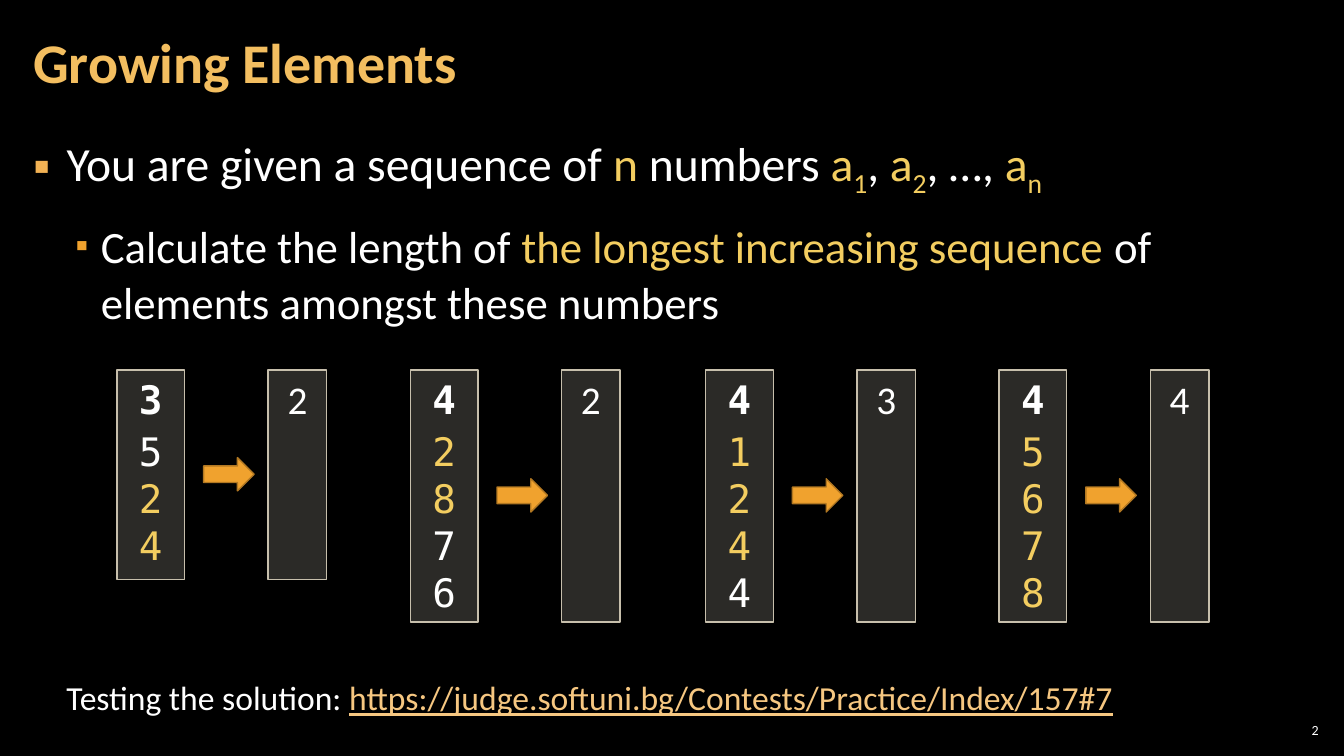
import lxml.etree
import pptx
import pptx.dml.color
import pptx.enum.shapes
import pptx.enum.text
import pptx.oxml.ns
import pptx.util

PX = 9144
COLOURS = {
    "black": "000000", "white": "FFFFFF", "yellow": "F3CD60",
    "title": "F3BE60", "bullet": "F2B254", "orange": "F0A22E",
    "brown": "B27822", "panel": "D9D5C7", "border": "C7BFAC",
    "link": "F6C781",
}
SANS = "Calibri"
MONO = "DejaVu Sans Mono"
ALIGN = pptx.enum.text.PP_ALIGN
ANCHOR = pptx.enum.text.MSO_ANCHOR
SHAPES = pptx.enum.shapes.MSO_SHAPE


def apply(target, values):
    for name, value in values.items():
        setattr(target, name, value)


def rgb(colour):
    return pptx.dml.color.RGBColor.from_string(COLOURS[colour])


def child(parent, tag, **attributes):
    return lxml.etree.SubElement(parent, pptx.oxml.ns.qn(tag), attributes)


class SlideBuilder:
    def __init__(self, deck):
        self.page = deck.slides.add_slide(deck.slide_layouts[5])
        background = self.page.background.fill
        background.solid()
        background.fore_color.rgb = rgb("black")

    def place(self, box, left, top, width, height):
        apply(box, {"left": left * PX, "top": top * PX,
                    "width": width * PX, "height": height * PX})

    def frame(self, box, side=10, edge=5, anchor=ANCHOR.TOP):
        apply(box.text_frame, {
            "word_wrap": True, "vertical_anchor": anchor,
            "auto_size": pptx.enum.text.MSO_AUTO_SIZE.NONE,
            "margin_left": side * PX, "margin_right": side * PX,
            "margin_top": edge * PX, "margin_bottom": edge * PX})
        return box

    def paragraph(self, box, spans, size, face=SANS, bullet=None, **layout):
        frame = box.text_frame
        para = frame.paragraphs[0]
        if para.runs:
            para = frame.add_paragraph()
        if bullet:
            self.bullet(para, **bullet)
        apply(para, layout)
        for text, colour, *extra in spans:
            span = para.add_run()
            span.text = text
            formats = {"size": pptx.util.Pt(size), "name": face, "bold": False}
            apply(span.font, formats | (extra[0] if extra else {}))
            span.font.color.rgb = rgb(colour)
        return para

    def bullet(self, para, indent, hanging, colour, percent):
        properties = para._p.get_or_add_pPr()
        properties.set("marL", str(indent * PX))
        properties.set("indent", str(-hanging * PX))
        child(child(properties, "a:buClr"), "a:srgbClr", val=COLOURS[colour])
        child(properties, "a:buSzPct", val=str(percent * 1000))
        child(properties, "a:buFont", typeface=SANS)
        child(properties, "a:buChar", char="▪")

    def subscript(self, para, *positions):
        for position in positions:
            para.runs[position]._r.get_or_add_rPr().set("baseline", "-25000")

    def title(self, text, *area):
        box = self.page.shapes.title
        self.place(box, *area)
        self.frame(box, 12, 4, ANCHOR.MIDDLE)
        self.paragraph(box, [(text, "title", {"bold": True})], 40,
                       alignment=ALIGN.LEFT, line_spacing=0.9)

    def textbox(self, left, top, width, height, **frame):
        box = self.page.shapes.add_textbox(
            left * PX, top * PX, width * PX, height * PX)
        return self.frame(box, **frame)

    def shape(self, kind, fill, line, left, top, width, height):
        box = self.page.shapes.add_shape(
            kind, left * PX, top * PX, width * PX, height * PX)
        box.shadow.inherit = False
        box.fill.solid()
        box.fill.fore_color.rgb = rgb(fill)
        box.line.color.rgb = rgb(line)
        box.line.width = pptx.util.Pt(1)
        return self.frame(box)

    def panel(self, *area):
        box = self.shape(SHAPES.RECTANGLE, "panel", "border", *area)
        properties = box._element.spPr
        tint = properties.find(pptx.oxml.ns.qn("a:solidFill"))[0]
        child(tint, "a:alpha", val="20000")
        return box

    def example(self, left, numbers, first, length):
        top, height = 367, 82 + 42 * len(numbers)
        source = self.panel(left, top, 67, height)
        self.paragraph(source, [(str(len(numbers)), "white", {"bold": True})],
                       28, MONO, alignment=ALIGN.CENTER,
                       space_after=pptx.util.Pt(4))
        for index, number in enumerate(numbers):
            chosen = first <= index < first + length
            self.paragraph(source,
                           [(str(number), "yellow" if chosen else "white")],
                           28, MONO, alignment=ALIGN.CENTER)
        result = self.panel(left + 150, top, 58, height)
        self.paragraph(result, [(str(length), "white")], 28,
                       alignment=ALIGN.CENTER)
        self.shape(SHAPES.RIGHT_ARROW, "orange", "brown",
                   left + 86, top + height // 2 - 17, 50, 33)


def main():
    deck = pptx.Presentation()
    deck.slide_width = 1333 * PX
    deck.slide_height = 750 * PX
    slide = SlideBuilder(deck)

    number = slide.textbox(1265, 714, 47, 21, side=4, edge=4,
                           anchor=ANCHOR.MIDDLE)
    slide.paragraph(number, [("2", "white")], 10, alignment=ALIGN.RIGHT)

    task = slide.textbox(21, 126, 1291, 609, side=12, edge=4)
    spacing = {"line_spacing": 1.05, "space_after": pptx.util.Pt(6)}
    sequence = slide.paragraph(task, [
        ("You are given a sequence of ", "white"), ("n", "yellow"),
        (" numbers ", "white"), ("a", "yellow"), ("1", "yellow"),
        (", ", "white"), ("a", "yellow"), ("2", "yellow"),
        (", …, ", "white"), ("a", "yellow"), ("n", "yellow"),
    ], 34, bullet={"indent": 33, "hanging": 33, "colour": "bullet",
                   "percent": 100}, **spacing)
    slide.subscript(sequence, 4, 7, 10)
    slide.paragraph(task, [
        ("Calculate the length of ", "white"),
        ("the longest increasing sequence ", "yellow"),
        ("of elements amongst these numbers", "white"),
    ], 32, bullet={"indent": 67, "hanging": 25, "colour": "orange",
                   "percent": 80},
        level=1, space_before=pptx.util.Pt(6), **spacing)

    slide.title("Growing Elements", 21, 4, 1047, 121)

    for example in [
        (116, [5, 2, 4], 1, 2),
        (407, [2, 8, 7, 6], 0, 2),
        (700, [1, 2, 4, 4], 0, 3),
        (991, [5, 6, 7, 8], 0, 4),
    ]:
        slide.example(*example)

    testing = slide.textbox(56, 667, 1211, 50)
    slide.paragraph(testing, [
        ("Testing the solution: ", "white"),
        ("https://judge.softuni.bg/Contests/Practice/Index/157#7", "link",
         {"underline": True}),
    ], 24)

    deck.save("out.pptx")


if __name__ == "__main__":
    main()
